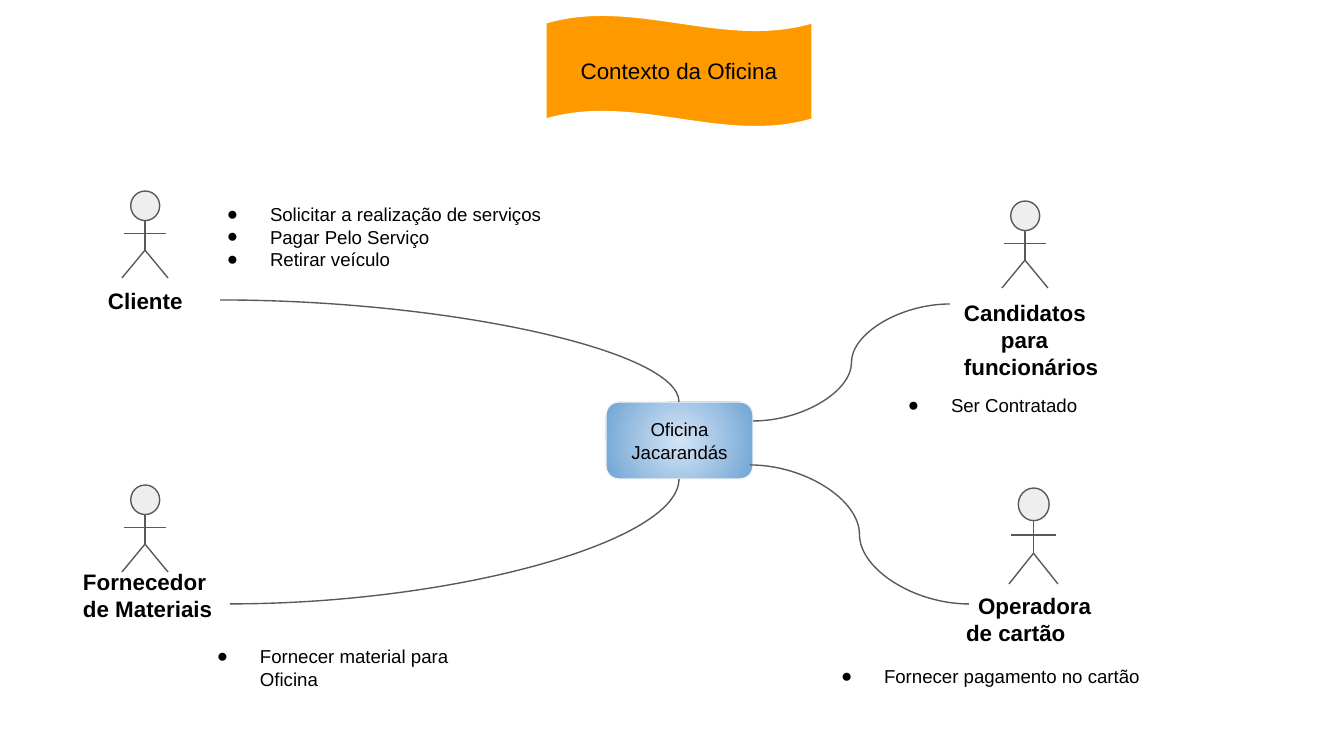
from lxml import etree
from pptx import Presentation
from pptx.dml.color import RGBColor
from pptx.enum.shapes import MSO_CONNECTOR, MSO_SHAPE
from pptx.enum.text import MSO_ANCHOR, PP_ALIGN
from pptx.oxml.ns import qn
from pptx.util import Pt

PIXEL = 914400 / 134.4
BLACK = RGBColor(0x00, 0x00, 0x00)
WHITE = RGBColor(0xFF, 0xFF, 0xFF)
ORANGE = RGBColor(0xFF, 0x99, 0x00)
LIGHT_BLUE = RGBColor(0xD4, 0xE5, 0xF5)
BLUE = RGBColor(0x70, 0xA4, 0xD5)
PALE_GRAY = RGBColor(0xF3, 0xF3, 0xF3)
HEAD_GRAY = RGBColor(0xEE, 0xEE, 0xEE)
LINE_GRAY = RGBColor(0x59, 0x59, 0x59)
WAVE = MSO_SHAPE.WAVE
ROUNDED = MSO_SHAPE.ROUNDED_RECTANGLE
CIRCLE = MSO_SHAPE.FLOWCHART_CONNECTOR
STRAIGHT = MSO_CONNECTOR.STRAIGHT
CURVE = MSO_CONNECTOR.CURVE
CENTER = PP_ALIGN.CENTER
MIDDLE = MSO_ANCHOR.MIDDLE
TOP = MSO_ANCHOR.TOP
INSET = 13


def emu(*pixels):
    return [round(value * PIXEL) for value in pixels]


def set_font(paragraph, size, bold=False):
    font = paragraph.font
    font.name = "Arial"
    font.size = Pt(size)
    font.bold = bold
    font.color.rgb = BLACK


def set_insets(frame, top=INSET, bottom=INSET):
    frame.word_wrap = True
    frame.margin_left, frame.margin_right = emu(INSET, INSET)
    frame.margin_top, frame.margin_bottom = emu(top, bottom)


def add_box(shapes, kind, box, line_color):
    shape = shapes.add_shape(kind, *emu(*box))
    shape.shadow.inherit = False
    shape.line.color.rgb = line_color
    shape.line.width = Pt(0.75)
    return shape


def add_caption(shape, text, size):
    frame = shape.text_frame
    set_insets(frame)
    frame.vertical_anchor = MIDDLE
    paragraph = frame.paragraphs[0]
    paragraph.text = text
    paragraph.alignment = CENTER
    set_font(paragraph, size)


def add_line(shapes, kind, start, end):
    connector = shapes.add_connector(kind, *emu(*start, *end))
    connector.line.color.rgb = LINE_GRAY
    connector.line.width = Pt(0.75)
    properties = connector._element.spPr
    etree.SubElement(properties, qn("a:effectLst"))
    return connector


def add_arc(shapes, start, end):
    connector = add_line(shapes, CURVE, start, end)
    geometry = connector._element.spPr.find(qn("a:prstGeom"))
    geometry.set("prst", "curvedConnector2")


def add_title(shapes, box):
    banner = add_box(shapes, WAVE, box, WHITE)
    banner.adjustments[0] = 0.07
    banner.adjustments[1] = 0
    banner.fill.solid()
    banner.fill.fore_color.rgb = ORANGE
    add_caption(banner, "Contexto da Oficina", 12)


def add_system(shapes, box):
    system = add_box(shapes, ROUNDED, box, PALE_GRAY)
    system.fill.gradient()
    for stop, color in zip(system.fill.gradient_stops, (LIGHT_BLUE, BLUE)):
        stop.color.rgb = color
    gradient = system._element.spPr.find(qn("a:gradFill"))
    gradient.remove(gradient.find(qn("a:lin")))
    radial = etree.SubElement(gradient, qn("a:path"), {"path": "circle"})
    center = {side: "50000" for side in "ltrb"}
    etree.SubElement(radial, qn("a:fillToRect"), center)
    add_caption(system, "Oficina Jacarandás", 10)


def add_actor(slide, figure_box, label_box, lines):
    shapes = slide.shapes.add_group_shape().shapes
    left, top, width, height = figure_box
    center = left + width / 2
    neck, arms, hip = (top + height * part for part in (0.34, 0.49, 0.68))
    bottom = top + height
    head_box = (left + width * 0.19, top, width * 0.63, height * 0.34)
    head = add_box(shapes, CIRCLE, head_box, LINE_GRAY)
    head.fill.solid()
    head.fill.fore_color.rgb = HEAD_GRAY
    limbs = [
        ((center, neck), (center, hip)),
        ((left + width * 0.04, arms), (left + width * 0.96, arms)),
        ((center, hip), (left, bottom)),
        ((left + width, bottom), (center, hip)),
    ]
    for start, end in limbs:
        add_line(shapes, STRAIGHT, start, end)
    frame = shapes.add_textbox(*emu(*label_box)).text_frame
    set_insets(frame)
    frame.vertical_anchor = TOP
    for index, (text, indent) in enumerate(lines):
        paragraph = frame.add_paragraph() if index else frame.paragraphs[0]
        paragraph.text = text
        paragraph._p.get_or_add_pPr().set("indent", str(emu(indent)[0]))
        set_font(paragraph, 12, bold=True)


def add_bullets(shapes, box, items, top=INSET, bottom=INSET):
    frame = shapes.add_textbox(*emu(*box)).text_frame
    set_insets(frame, top, bottom)
    frame.vertical_anchor = TOP
    margin, indent = emu(67, -43)
    for index, text in enumerate(items):
        paragraph = frame.add_paragraph() if index else frame.paragraphs[0]
        paragraph.text = text
        properties = paragraph._p.get_or_add_pPr()
        properties.set("marL", str(margin))
        properties.set("indent", str(indent))
        color = etree.SubElement(properties, qn("a:buClr"))
        etree.SubElement(color, qn("a:srgbClr"), {"val": str(BLACK)})
        etree.SubElement(properties, qn("a:buFont"), {"typeface": "Arial"})
        etree.SubElement(properties, qn("a:buChar"), {"char": "●"})
        set_font(paragraph, 10)


presentation = Presentation()
presentation.slide_width, presentation.slide_height = emu(1344, 756)
slide = presentation.slides.add_slide(presentation.slide_layouts[6])
shapes = slide.shapes

add_title(shapes, (546, 15, 266, 112))
add_system(shapes, (606, 402, 147, 77))

actors = [
    ((122, 485, 46, 87), (70, 555, 160, 98), [("Fornecedor de Materiais", 0)]),
    ((122, 191, 46, 87), (70, 274, 150, 51), [("Cliente", 25)]),
    ((1002, 201, 46, 87), (951, 286, 340, 83),
     [("Candidatos", 0), ("para", 37), ("funcionários", 0)]),
    ((1009, 488, 49, 96), (953, 579, 163, 55), [("Operadora de cartão", 12)]),
]
for figure_box, label_box, lines in actors:
    add_actor(slide, figure_box, label_box, lines)

add_arc(shapes, (220, 300), (679, 402))
add_arc(shapes, (230, 604), (679, 479))
add_line(shapes, CURVE, (950, 304), (753, 421))
add_line(shapes, CURVE, (969, 604), (750, 465))

add_bullets(shapes, (180, 632, 285, 59), ["Fornecer material para Oficina"])
add_bullets(
    shapes,
    (190, 167, 500, 94),
    ["Solicitar a realização de serviços", "Pagar Pelo Serviço", "Retirar veículo"],
    top=36,
)
add_bullets(shapes, (871, 387, 419, 59), ["Ser Contratado"], top=7, bottom=7)
add_bullets(shapes, (804, 654, 442, 59), ["Fornecer pagamento no cartão"])

presentation.save("out.pptx")
